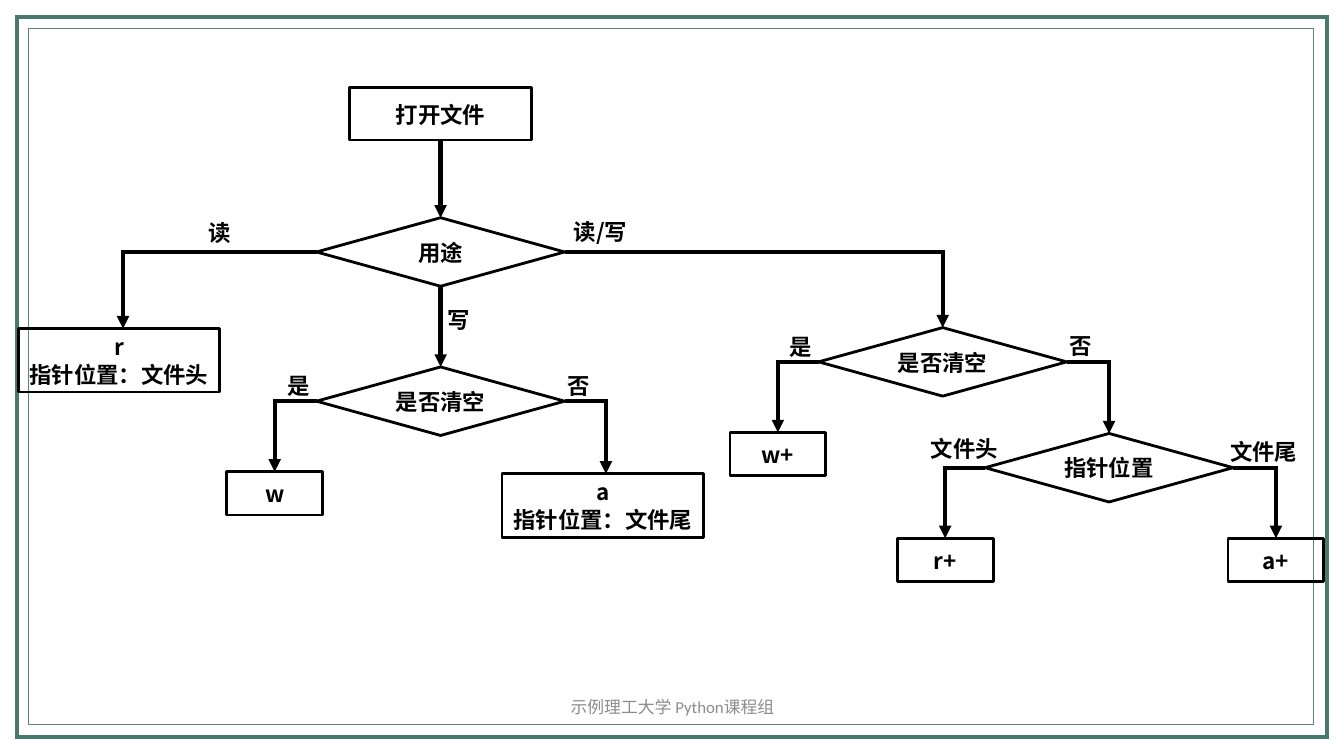
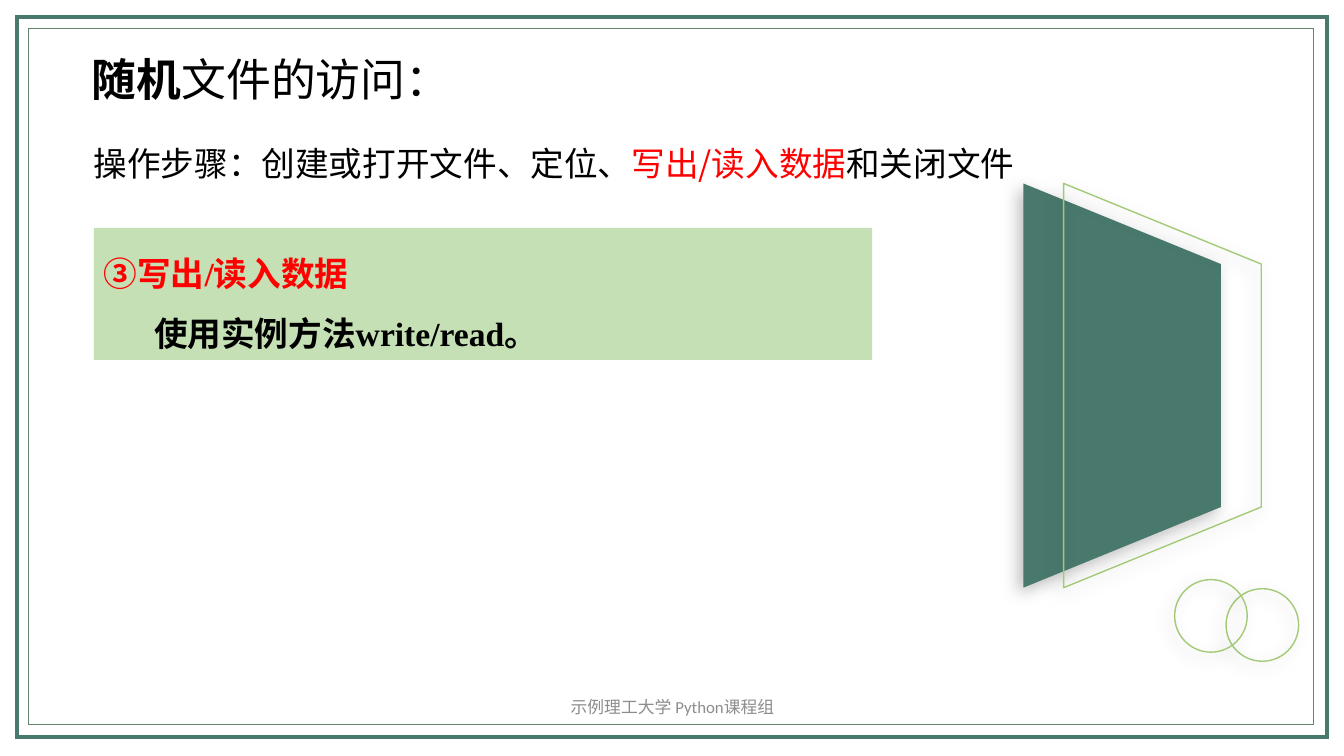
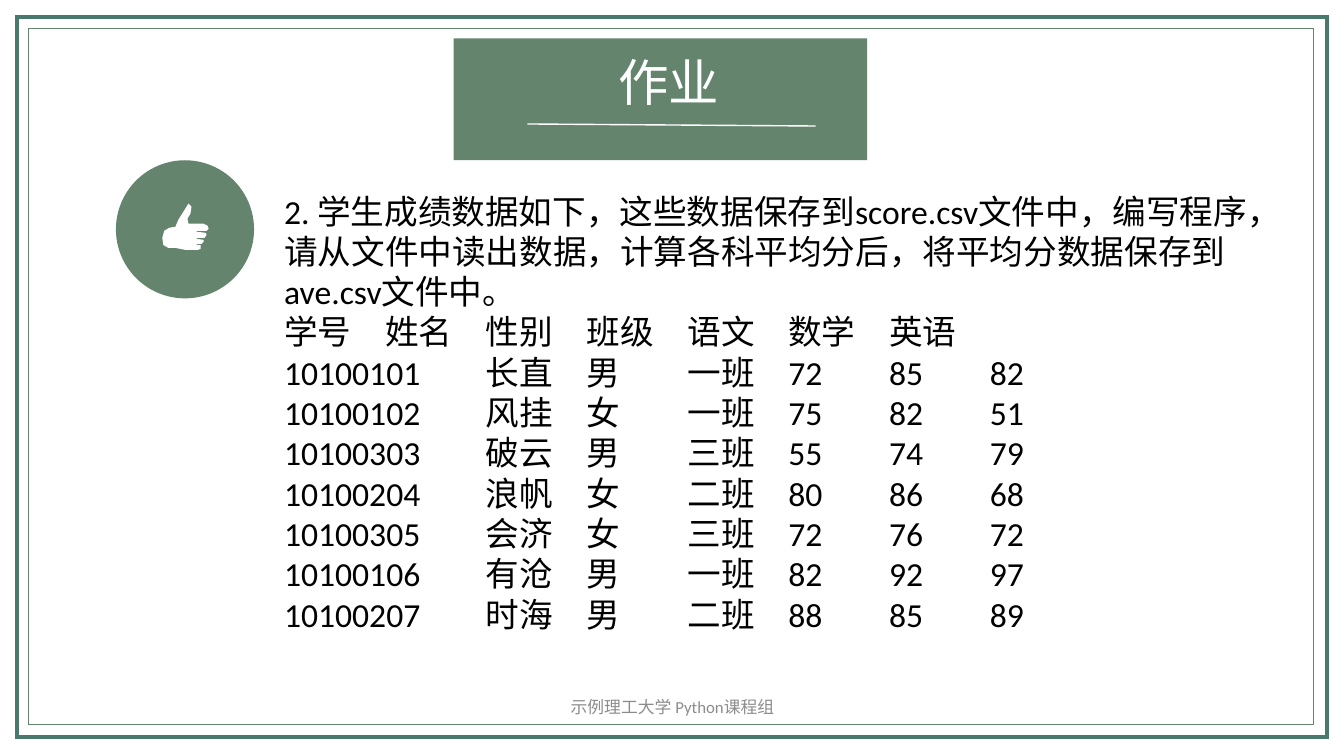
"""Build three slides of a Python course on file handling."""
from lxml.etree import SubElement
from pptx import Presentation
from pptx.dml.color import RGBColor
from pptx.enum.shapes import MSO_CONNECTOR, MSO_SHAPE
from pptx.enum.text import MSO_ANCHOR, MSO_AUTO_SIZE, PP_ALIGN
from pptx.oxml.ns import qn
from pptx.util import Inches, Pt

COLORS = {"teal": "49786D", "green": "64846E", "lime": "A2CA77", "pale": "C5E0B4",
          "gray": "8C8C8C", "black": "000000", "red": "FF0000", "white": "FFFFFF"}
RGB = {name: RGBColor.from_string(value) for name, value in COLORS.items()}
CJK = "Noto Sans CJK SC"


def style(sp, fill=None, line=None, width=1):
    """Set fill and outline, and drop the theme shadow."""
    sp.shadow.inherit = False
    if fill:
        sp.fill.solid()
        sp.fill.fore_color.rgb = RGB[fill]
    else:
        sp.fill.background()
    if line:
        sp.line.color.rgb = RGB[line]
        sp.line.width = Pt(width)
    else:
        sp.line.fill.background()


def write(sp, paragraphs, size, font=CJK, align=PP_ALIGN.LEFT, anchor=MSO_ANCHOR.TOP,
          spacing=None, inset=(0.1, 0.05)):
    """Write paragraphs, each a list of (text, colour, bold) runs."""
    tf = sp.text_frame
    tf.word_wrap = True
    tf.auto_size = MSO_AUTO_SIZE.NONE
    tf.vertical_anchor = anchor
    tf.margin_left = tf.margin_right = Inches(inset[0])
    tf.margin_top = tf.margin_bottom = Inches(inset[1])
    for i, runs in enumerate(paragraphs):
        p = tf.add_paragraph() if i else tf.paragraphs[0]
        p.alignment = align
        if spacing:
            p.line_spacing = Pt(spacing)
        for text, color, bold in runs:
            r = p.add_run()
            r.text = text
            r.font.size = Pt(size)
            r.font.bold = bold
            r.font.color.rgb = RGB[color]
            r.font.name = font
            SubElement(r.font._element, qn("a:ea"), typeface=CJK)


prs = Presentation()
prs.slide_width, prs.slide_height = Inches(13.33), Inches(7.5)
title_only, blank = prs.slide_layouts[5], prs.slide_layouts[6]

s = prs.slides.add_slide(blank)
shared = []
for box, color, width in [((0.17, 0.17, 12.99, 7.14), "teal", 3),
                          ((0.28, 0.28, 12.75, 6.91), "green", 0.5)]:
    sp = s.shapes.add_shape(MSO_SHAPE.RECTANGLE, *map(Inches, box))
    style(sp, line=color, width=width)
    SubElement(sp.element.spPr.find(qn("a:ln")), qn("a:miter"), lim="800000")
    shared.append(sp)
footer = s.shapes.add_textbox(Inches(4.42), Inches(6.81), Inches(4.5), Inches(0.4))
write(footer, [[("示例理工大学 Python课程组", "gray", False)]], 12, "Calibri",
      PP_ALIGN.CENTER, MSO_ANCHOR.MIDDLE)
shared.append(footer)
for number, sp in enumerate(shared, 101):
    sp.element.nvSpPr.cNvPr.set("id", str(number))
    prs.slide_master.shapes.element.append(sp.element)

SIZES = {"start": (1.8, 0.52), "choice": (2.46, 0.68), "wide": (2, 0.63), "mode": (0.95, 0.43)}
NODES = {
    "open": ("start", 3.47, 0.87, ["打开文件"]),
    "purpose": ("choice", 3.14, 2.16, ["用途"]),
    "r": ("wide", 0.18, 3.26, ["r", "指针位置：文件头"]),
    "clear_write": ("choice", 3.14, 3.64, ["是否清空"]),
    "w": ("mode", 2.25, 4.68, ["w"]),
    "a": ("wide", 4.98, 4.7, ["a", "指针位置：文件尾"]),
    "clear_both": ("choice", 8.12, 3.25, ["是否清空"]),
    "w+": ("mode", 7.24, 4.29, ["w+"]),
    "pointer": ("choice", 9.77, 4.3, ["指针位置"]),
    "r+": ("mode", 8.9, 5.34, ["r+"]),
    "a+": ("mode", 12.18, 5.34, ["a+"]),
}
LABELS = [
    ("读", 1.88, 2.08, 0.59, 0.45), ("读/写", 5.38, 2, 1.15, 0.58),
    ("写", 4.25, 2.96, 0.59, 0.41), ("是", 2.67, 3.62, 0.59, 0.41),
    ("否", 5.16, 3.53, 1.15, 0.58), ("是", 7.65, 3.23, 0.59, 0.41),
    ("否", 10.14, 3.14, 1.15, 0.58), ("文件头", 8.95, 4.27, 1.23, 0.36),
    ("文件尾", 11.92, 4.3, 1.23, 0.36),
]
LINKS = [
    ("open", 2, "purpose", 0), ("purpose", 2, "clear_write", 0), ("purpose", 1, "r", 0.04),
    ("purpose", 3, "clear_both", 0), ("clear_write", 1, "w", 0), ("clear_write", 3, "a", 0.03),
    ("clear_both", 1, "w+", 0), ("clear_both", 3, "pointer", 0),
    ("pointer", 1, "r+", 0), ("pointer", 3, "a+", 0),
]
nodes, texts = {}, []
for name, (kind, x, y, lines) in NODES.items():
    preset = MSO_SHAPE.DIAMOND if kind == "choice" else MSO_SHAPE.RECTANGLE
    w, h = SIZES[kind]
    sp = s.shapes.add_shape(preset, Inches(x), Inches(y), Inches(w), Inches(h))
    style(sp, line="black", width=2)
    nodes[name] = sp
    texts.append((sp, lines))
for label, *box in LABELS:
    texts.append((s.shapes.add_textbox(*map(Inches, box)), [label]))
for sp, lines in texts:
    write(sp, [[(line, "black", True)] for line in lines], 16, align=PP_ALIGN.CENTER,
          anchor=MSO_ANCHOR.MIDDLE, spacing=19.5)

for source, side, target, shift in LINKS:
    a, b = nodes[source], nodes[target]
    x, y = b.left + b.width // 2 + Inches(shift), a.top + a.height // 2
    drop = s.shapes.add_connector(MSO_CONNECTOR.STRAIGHT, x, y - Inches(0.02), x, b.top)
    if not shift:
        drop.end_connect(b, 0)
    parts = [drop]
    if side == 2:
        drop.begin_connect(a, side)
    else:
        branch = s.shapes.add_connector(MSO_CONNECTOR.STRAIGHT, x, y, x, y)
        branch.begin_connect(a, side)
        parts.append(branch)
    for c in parts:
        c.line.color.rgb = RGB["black"]
        c.line.width = Pt(3)
        SubElement(c.element.spPr, qn("a:effectLst"))
    SubElement(drop.element.spPr.find(qn("a:ln")), qn("a:tailEnd"), type="triangle")

s = prs.slides.add_slide(title_only)
title = s.shapes.title
title.left, title.top, title.width, title.height = map(Inches, (0.91, 0.51, 3.96, 0.54))
write(title, [[("随机", "black", True), ("文件的访问：", "black", False)]], 32,
      anchor=MSO_ANCHOR.MIDDLE, inset=(0, 0))
decor = []
for x, fill, line in [(10.15, "teal", None), (10.55, None, "lime")]:
    panel = s.shapes.build_freeform(Inches(x), Inches(5.83))
    corners = [(x, 1.82), (x + 1.96, 2.62), (x + 1.96, 5.03)]
    panel.add_line_segments([(Inches(px), Inches(py)) for px, py in corners], close=True)
    decor.append((panel.convert_to_shape(), fill, line))
for x, y in [(12.16, 5.84), (11.65, 5.75)]:
    ring = s.shapes.add_shape(MSO_SHAPE.OVAL, Inches(x), Inches(y), Inches(0.72), Inches(0.72))
    decor.append((ring, None, "lime"))
for sp, fill, line in decor:
    style(sp, fill, line)
    shadow = SubElement(sp.element.spPr.find(qn("a:effectLst")), qn("a:outerShdw"),
                        blurRad=str(Pt(12)), dist=str(Pt(5)), dir="8100000",
                        algn="tr", rotWithShape="0")
    tint = SubElement(shadow, qn("a:srgbClr"), val=COLORS["black"])
    SubElement(tint, qn("a:alpha"), val="26000")

steps = s.shapes.add_textbox(Inches(0.93), Inches(1.42), Inches(10.2), Inches(0.48))
write(steps, [[("操作步骤：创建或打开文件、定位、", "black", False),
               ("写出/读入数据", "red", False), ("和关闭文件", "black", False)]],
      24, inset=(0, 0))
note = s.shapes.add_shape(MSO_SHAPE.RECTANGLE, Inches(0.93), Inches(2.26), Inches(7.72), Inches(1.31))
style(note, "pale")
write(note, [[("③写出/读入数据", "red", True)], [("使用实例方法write/read。", "black", True)]],
      24, "Times New Roman", spacing=43)
note.text_frame.paragraphs[1]._p.get_or_add_pPr().set("indent", str(Inches(0.5)))

s = prs.slides.add_slide(title_only)
band = s.shapes.add_shape(MSO_SHAPE.RECTANGLE, Inches(4.5), Inches(0.38), Inches(4.1), Inches(1.21))
style(band, "green")
s.shapes.element.insert(2, band.element)
title = s.shapes.title
title.left, title.top, title.width, title.height = map(Inches, (5.01, 0.45, 3.24, 0.71))
write(title, [[("作业", "white", False)]], 36, align=PP_ALIGN.CENTER, anchor=MSO_ANCHOR.MIDDLE)
rule = s.shapes.add_connector(MSO_CONNECTOR.STRAIGHT, *map(Inches, (5.23, 1.23, 8.09, 1.25)))
rule.line.color.rgb = RGB["white"]
rule.line.width = Pt(1)
SubElement(rule.element.spPr, qn("a:effectLst"))

disc = s.shapes.add_shape(MSO_SHAPE.OVAL, Inches(1.15), Inches(1.59), Inches(1.37), Inches(1.37))
style(disc, "green")
THUMB = [
    (1.87, 2.02), (1.9, 2.05), (1.89, 2.12), (1.86, 2.17), (1.87, 2.22), (1.93, 2.22),
    (2.02, 2.22), (2.06, 2.24), (2.07, 2.27), (2.05, 2.29), (1.95, 2.29), (1.95, 2.3),
    (2.04, 2.31), (2.05, 2.33), (2.03, 2.36), (1.95, 2.36), (1.95, 2.37), (2.02, 2.38),
    (2.02, 2.4), (2, 2.42), (1.95, 2.42), (1.95, 2.43), (1.99, 2.43), (1.99, 2.47),
    (1.96, 2.48), (1.84, 2.48), (1.74, 2.46), (1.67, 2.46), (1.62, 2.43), (1.61, 2.36),
    (1.63, 2.29), (1.68, 2.26), (1.74, 2.25), (1.77, 2.18),
]
points = [(Inches(x), Inches(y)) for x, y in THUMB]
outline = s.shapes.build_freeform(*points[0])
outline.add_line_segments(points[1:], close=True)
style(outline.convert_to_shape(), "white")

TASK = ("2. 学生成绩数据如下，这些数据保存到score.csv文件中，编写程序，"
        "请从文件中读出数据，计算各科平均分后，将平均分数据保存到ave.csv文件中。")
SCORES = [
    ("学号", "姓名", "性别", "班级", "语文", "数学", "英语"),
    ("10100101", "长直", "男", "一班", "72", "85", "82"),
    ("10100102", "风挂", "女", "一班", "75", "82", "51"),
    ("10100303", "破云", "男", "三班", "55", "74", "79"),
    ("10100204", "浪帆", "女", "二班", "80", "86", "68"),
    ("10100305", "会济", "女", "三班", "72", "76", "72"),
    ("10100106", "有沧", "男", "一班", "82", "92", "97"),
    ("10100207", "时海", "男", "二班", "88", "85", "89"),
]
task = s.shapes.add_textbox(Inches(2.72), Inches(1.84), Inches(9.75), Inches(4.54))
lines = [TASK] + ["\t".join(row) for row in SCORES]
write(task, [[(line, "black", False)] for line in lines], 24, "Calibri", spacing=28.8)
for p in task.text_frame.paragraphs[1:]:
    tabs = SubElement(p._p.get_or_add_pPr(), qn("a:tabLst"))
    for stop in range(1, 8):
        SubElement(tabs, qn("a:tab"), pos=str(Inches(stop)), algn="l")

prs.save("out.pptx")
